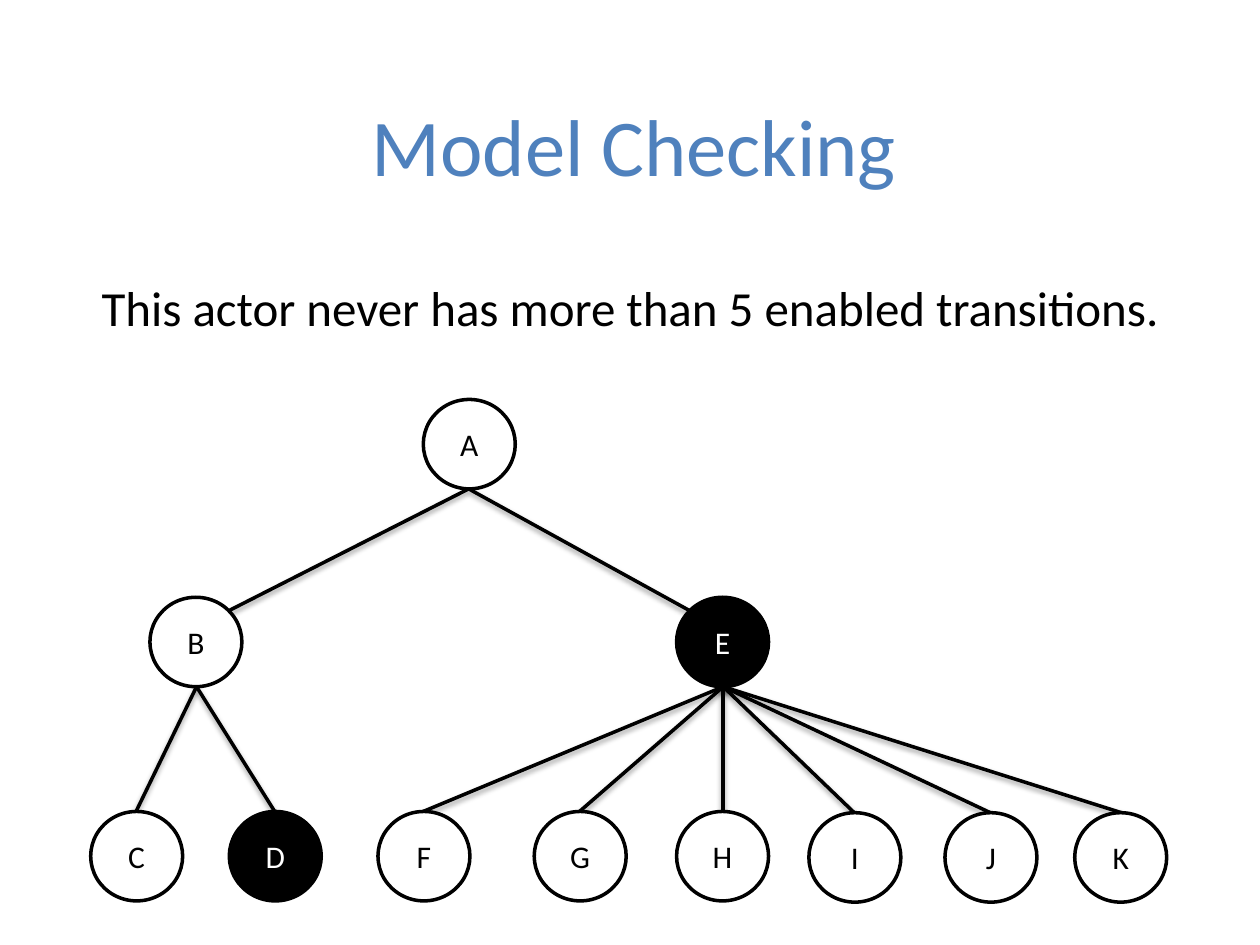
from dataclasses import dataclass

from lxml.etree import SubElement
from pptx import Presentation
from pptx.dml.color import RGBColor
from pptx.enum.shapes import MSO_CONNECTOR as Connector, MSO_SHAPE as Preset
from pptx.enum.text import MSO_ANCHOR as Anchor, PP_ALIGN as Align
from pptx.oxml.ns import qn
from pptx.slide import Slide
from pptx.text.text import TextFrame
from pptx.util import Emu, Pt

PX_PER_INCH = 100
EMU_PER_PX = 914400 // PX_PER_INCH
NODE_WIDTH, NODE_HEIGHT = 73, 71
COLORS = {"black": "000000", "white": "FFFFFF", "title": "4F81BD"}
TOP, BOTTOM = (0.5, 0), (0.5, 1)
TOP_LEFT, TOP_RIGHT = (0.15, 0.15), (0.85, 0.15)


@dataclass(frozen=True)
class Node:
    label: str
    left: int
    top: int
    fill: str = "white"
    text_color: str = "black"

    def site(self, fractions: tuple[float, float]) -> tuple[int, int]:
        across, down = fractions
        return round(self.left + NODE_WIDTH * across), round(self.top + NODE_HEIGHT * down)


@dataclass(frozen=True)
class Edge:
    parent: str
    child: str
    entry: tuple[float, float] = TOP


NODES = [
    Node("A", 336, 317),
    Node("B", 119, 474),
    Node("E", 537, 474, "black", "white"),
    Node("C", 72, 644),
    Node("D", 182, 644, "black", "white"),
    Node("F", 300, 644),
    Node("G", 424, 644),
    Node("H", 537, 644),
    Node("I", 642, 645),
    Node("J", 750, 645),
    Node("K", 853, 645),
]
EDGES = [
    Edge("A", "B", TOP_RIGHT),
    Edge("A", "E", TOP_LEFT),
    *(Edge("B", child) for child in "CD"),
    *(Edge("E", child) for child in "FGHIJK"),
]


def px(length: int) -> Emu:
    return Emu(length * EMU_PER_PX)


def color(name: str) -> RGBColor:
    return RGBColor.from_string(COLORS[name])


def write_text(frame: TextFrame, text: str, *, size: int, color_name: str = "black",
               anchor: Anchor = Anchor.TOP) -> None:
    frame.word_wrap = True
    frame.vertical_anchor = anchor
    paragraph = frame.paragraphs[0]
    paragraph.alignment = Align.CENTER
    run = paragraph.add_run()
    run.text = text
    run.font.name = "Calibri"
    run.font.size = Pt(size)
    run.font.color.rgb = color(color_name)


def add_text(slide: Slide, text: str, box: tuple[int, int, int, int], *, margin: int = 5,
             **text_format) -> None:
    frame = slide.shapes.add_textbox(*map(px, box)).text_frame
    frame.margin_top = frame.margin_bottom = px(margin)
    write_text(frame, text, **text_format)


def draw_node(slide: Slide, node: Node) -> None:
    box = (node.left, node.top, NODE_WIDTH, NODE_HEIGHT)
    shape = slide.shapes.add_shape(Preset.OVAL, *map(px, box))
    shape.shadow.inherit = False
    shape.fill.solid()
    shape.fill.fore_color.rgb = color(node.fill)
    shape.line.color.rgb = color("black")
    shape.line.width = Pt(2)
    write_text(shape.text_frame, node.label, size=18, color_name=node.text_color,
               anchor=Anchor.MIDDLE)


def draw_edge(slide: Slide, edge: Edge, nodes: dict[str, Node]) -> None:
    ends = nodes[edge.parent].site(BOTTOM) + nodes[edge.child].site(edge.entry)
    connector = slide.shapes.add_connector(Connector.STRAIGHT, *map(px, ends))
    connector.line.color.rgb = color("black")
    connector.line.width = Pt(2)
    effects = SubElement(connector._element.spPr, qn("a:effectLst"))
    shadow = SubElement(effects, qn("a:outerShdw"), blurRad="40000", dist="20000",
                        dir="5400000", rotWithShape="0")
    shade = SubElement(shadow, qn("a:srgbClr"), val=COLORS["black"])
    SubElement(shade, qn("a:alpha"), val="38000")


def main() -> None:
    presentation = Presentation()
    presentation.slide_width, presentation.slide_height = px(1000), px(750)
    slide = presentation.slides.add_slide(presentation.slide_layouts[6])
    add_text(slide, "Model Checking", (63, 17, 880, 146), margin=10, size=46,
             color_name="title", anchor=Anchor.BOTTOM)
    add_text(slide, "This actor never has more than 5 enabled transitions.",
             (0, 215, 1000, 57), size=28)
    nodes = {node.label: node for node in NODES}
    for edge in EDGES:
        draw_edge(slide, edge, nodes)
    for node in NODES:
        draw_node(slide, node)
    presentation.save("out.pptx")


if __name__ == "__main__":
    main()
